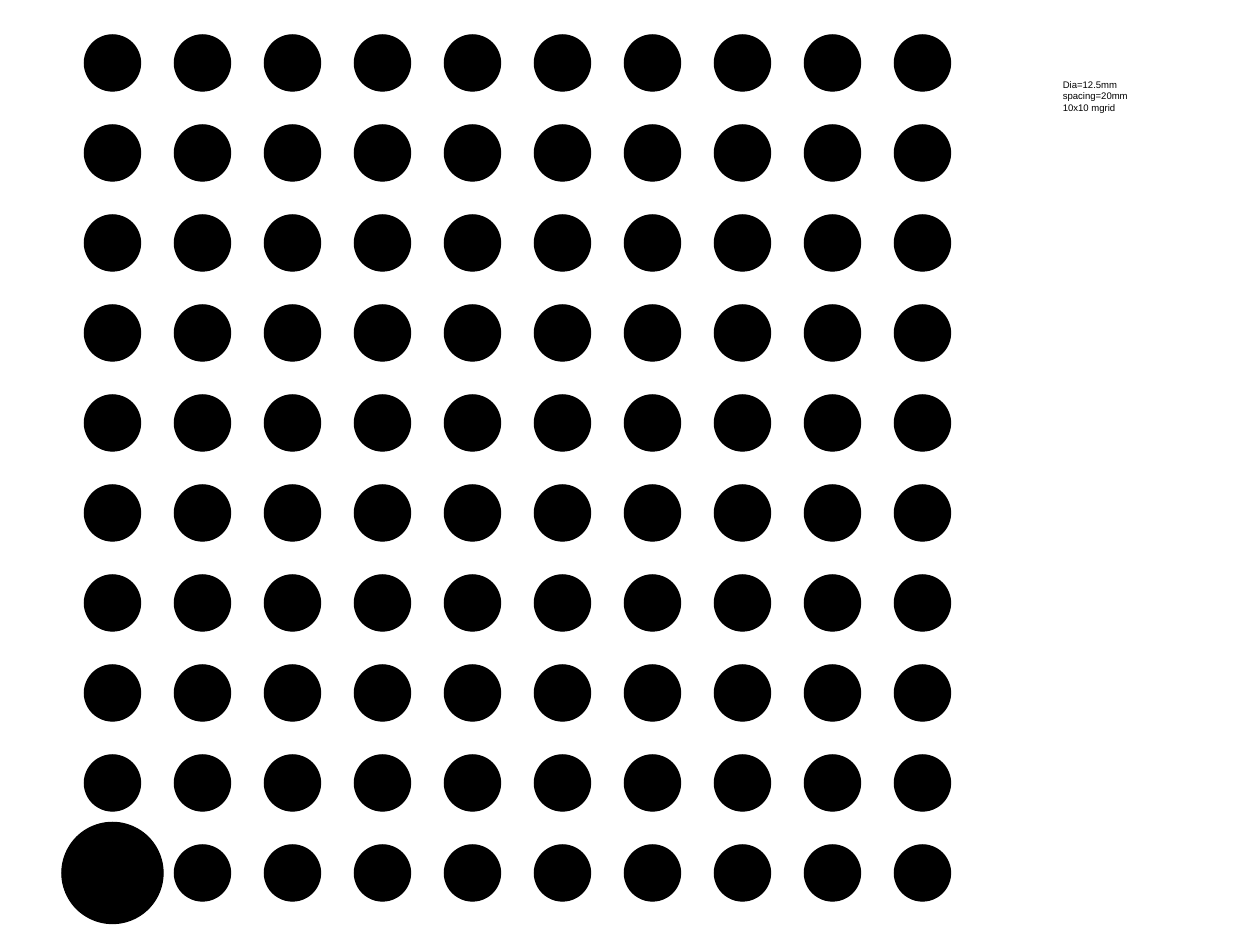
from dataclasses import dataclass

import pptx
import pptx.dml.color
import pptx.enum.shapes
import pptx.enum.text
import pptx.util

Cm = pptx.util.Cm


@dataclass(frozen=True)
class Theme:
    ink: pptx.dml.color.RGBColor = pptx.dml.color.RGBColor(0, 0, 0)
    font: str = "Arial"
    note_size: pptx.util.Length = pptx.util.Pt(6)


THEME = Theme()
GRID_COUNT = 10
GRID_SPACING = 2
FIRST_CENTER_X = 2.5
FIRST_CENTER_Y = 1.4
DOT_DIAMETER = 1.25
ORIGIN_DIAMETER = 2.25
NOTE_LINES = ["Dia=12.5mm", "spacing=20mm", "10x10 mgrid"]


def add_dot(slide, center_x, center_y, diameter):
    dot = slide.shapes.add_shape(
        pptx.enum.shapes.MSO_SHAPE.OVAL,
        Cm(center_x - diameter / 2),
        Cm(center_y - diameter / 2),
        Cm(diameter),
        Cm(diameter),
    )
    dot.shadow.inherit = False
    dot.fill.solid()
    dot.fill.fore_color.rgb = THEME.ink
    dot.line.color.rgb = THEME.ink
    dot.line.width = pptx.util.Pt(0)


def add_dot_grid(slide):
    for row in reversed(range(GRID_COUNT)):
        for column in range(GRID_COUNT):
            is_origin = row == GRID_COUNT - 1 and column == 0
            add_dot(
                slide,
                FIRST_CENTER_X + column * GRID_SPACING,
                FIRST_CENTER_Y + row * GRID_SPACING,
                ORIGIN_DIAMETER if is_origin else DOT_DIAMETER,
            )


def add_note(slide, left, top, width, height, lines):
    text_frame = slide.shapes.add_textbox(Cm(left), Cm(top), Cm(width), Cm(height)).text_frame
    text_frame.word_wrap = False
    text_frame.auto_size = pptx.enum.text.MSO_AUTO_SIZE.SHAPE_TO_FIT_TEXT
    text_frame.vertical_anchor = pptx.enum.text.MSO_ANCHOR.MIDDLE
    text_frame.text = "\n".join(lines)
    for paragraph in text_frame.paragraphs:
        for run in paragraph.runs:
            run.font.name = THEME.font
            run.font.size = THEME.note_size
            run.font.color.rgb = THEME.ink


def main():
    presentation = pptx.Presentation()
    presentation.slide_width = Cm(28)
    presentation.slide_height = Cm(21)
    slide = presentation.slides.add_slide(presentation.slide_layouts[6])
    add_dot_grid(slide)
    add_note(slide, 23.37, 1.65, 1.95, 0.97, NOTE_LINES)
    presentation.save("out.pptx")


main()
